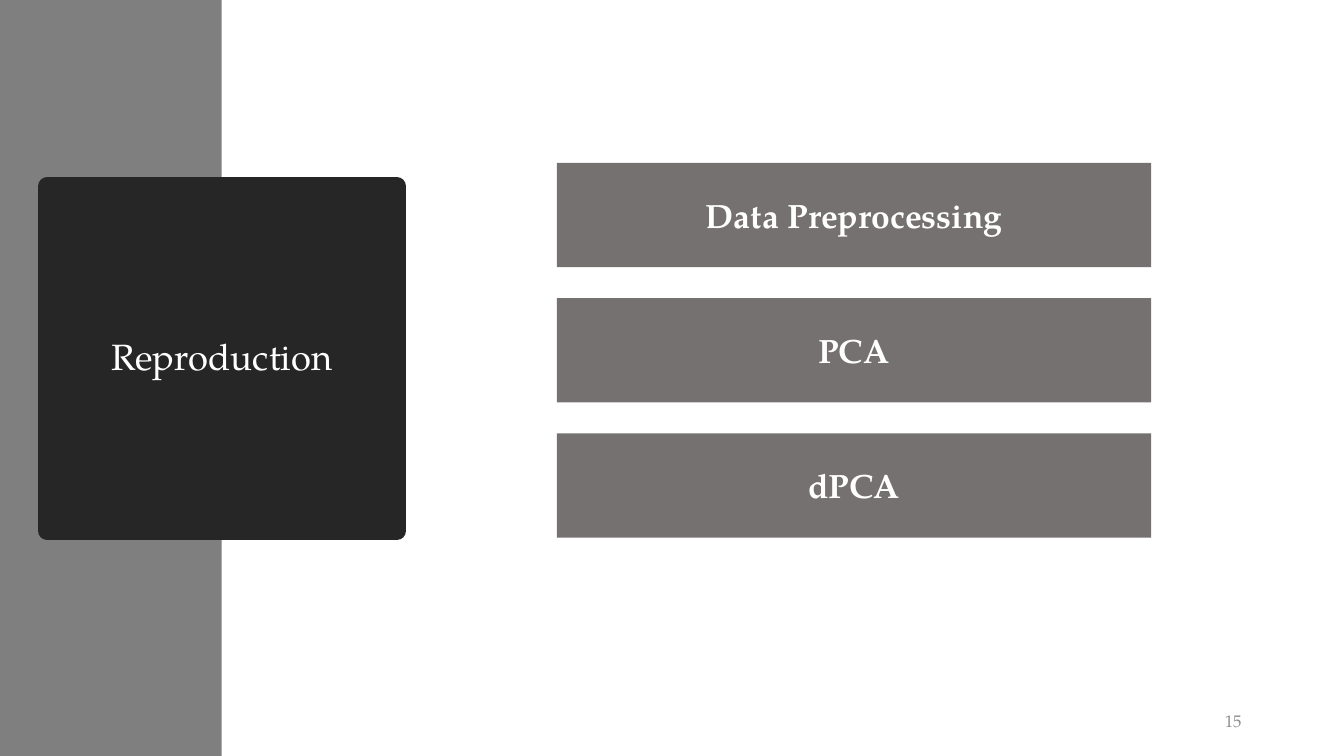
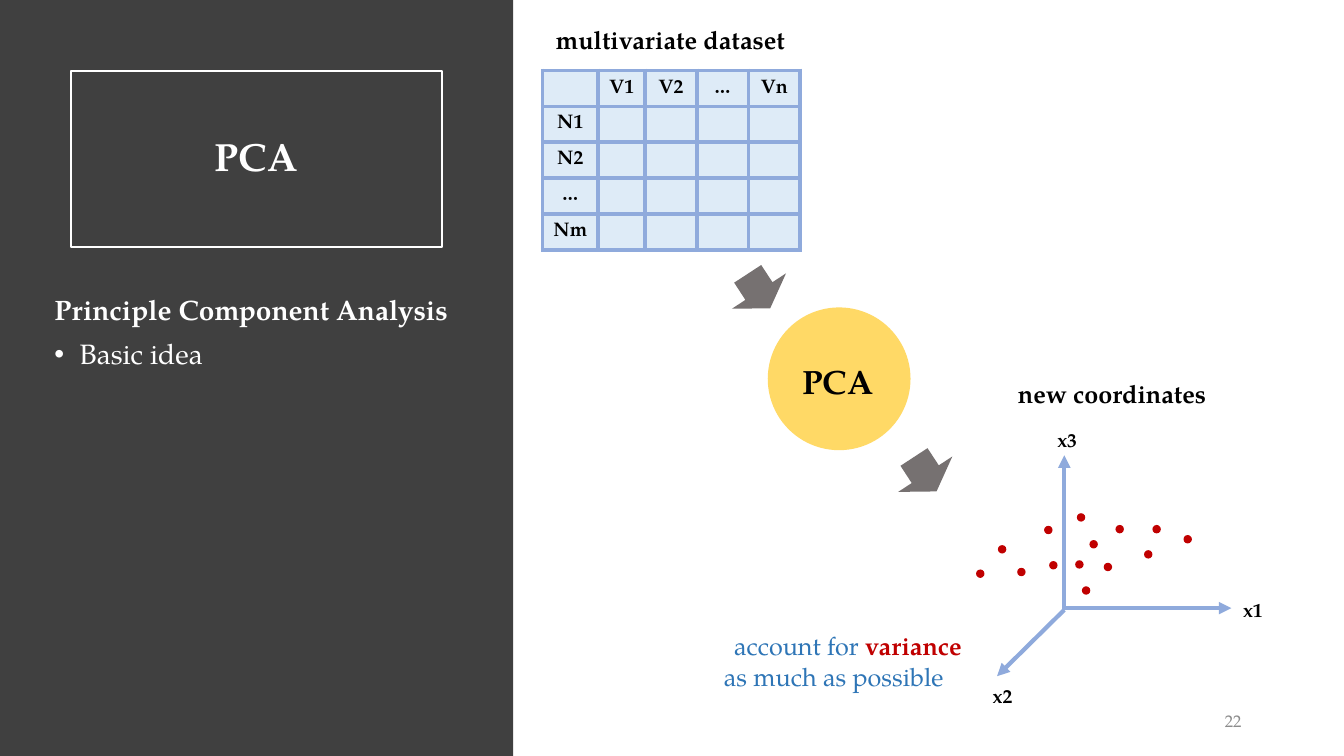
from dataclasses import dataclass, replace
from typing import NamedTuple

from lxml import etree
from pptx import Presentation
from pptx.dml.color import RGBColor
from pptx.enum.shapes import MSO_CONNECTOR, MSO_SHAPE
from pptx.enum.text import MSO_ANCHOR, MSO_AUTO_SIZE, PP_ALIGN
from pptx.oxml.ns import qn
from pptx.util import Inches, Pt

LEFT, CENTER, RIGHT = PP_ALIGN.LEFT, PP_ALIGN.CENTER, PP_ALIGN.RIGHT
TOP, MIDDLE = MSO_ANCHOR.TOP, MSO_ANCHOR.MIDDLE
RECTANGLE, OVAL, DOWN_ARROW = MSO_SHAPE.RECTANGLE, MSO_SHAPE.OVAL, MSO_SHAPE.DOWN_ARROW
STRAIGHT = MSO_CONNECTOR.STRAIGHT
NO_FIT, GROW = MSO_AUTO_SIZE.NONE, MSO_AUTO_SIZE.SHAPE_TO_FIT_TEXT

WIDTH, HEIGHT = Inches(13.33), Inches(7.5)
COLUMNS, ROWS = 160, 90
TITLE_ONLY = 5
FONT = "TeX Gyre Pagella"
COLORS = {
    "white": "FFFFFF", "black": "000000", "band": "7F7F7F", "panel": "404040",
    "title": "262626", "bar": "767171", "number": "8C8C8C", "axis": "8FAADC",
    "cell": "DEEBF7", "circle": "FFD966", "red": "C00000", "blue": "2E75B6",
}


class Box(NamedTuple):
    column: float
    row: float
    columns: float
    rows: float


class Point(NamedTuple):
    column: float
    row: float


@dataclass(frozen=True)
class Style:
    size: float
    color: str
    bold: bool = True
    align: PP_ALIGN = LEFT
    spacing: float = 1.0


class Label(NamedTuple):
    text: str
    box: Box
    style: Style


BAR_STYLE = Style(24, "white", align=CENTER)
NUMBER_STYLE = Style(12, "number", False, RIGHT)
CAPTION = Style(18, "black")
AXIS_STYLE = Style(14, "black")
CELL_STYLE = replace(AXIS_STYLE, align=CENTER)
BODY_STYLE = Style(20, "white", spacing=0.9)
GOAL_STYLE = Style(18, "blue", False)

NUMBER_BOX = Box(113, 83.4, 36, 4.8)
BARS = ("Data Preprocessing", "PCA", "dPCA")
FIRST_BAR = Box(66.3, 19.4, 70.75, 12.4)
BAR_PITCH = 16.1
TABLE_ORIGIN = Point(64.6, 8.4)
TABLE_COLUMNS = (6.6, 5.6, 6.15, 6.15, 6.15)
TABLE_ROW = 4.27
VARIABLES = ("", "V1", "V2", "…", "Vn")
NEURONS = ("N1", "N2", "…", "Nm")
ARROWS = (Box(86.5, 32.2, 7.7, 4.9), Box(106.3, 54, 7.7, 4.9))
AXES = (
    (Point(126.7, 72.6), Point(126.7, 54.2)),
    (Point(126.7, 72.4), Point(146.6, 72.4)),
    (Point(126.7, 72.6), Point(118.7, 80.5)),
)
DOTS = (
    Point(132.8, 62.5), Point(136.2, 65.5), Point(128.2, 61.1), Point(131.4, 67),
    Point(124.9, 66.8), Point(129.7, 64.3), Point(116.2, 67.8), Point(128, 66.7),
    Point(118.8, 64.9), Point(121.1, 67.6), Point(124.3, 62.6), Point(128.8, 69.8),
    Point(140.9, 63.7), Point(137.2, 62.5),
)
LABELS = (
    Label("multivariate dataset", Box(65, 2.3, 29.9, 4.8), CAPTION),
    Label("new coordinates", Box(120, 44.5, 25.1, 4.8), CAPTION),
    Label("PCA", Box(94.3, 42.4, 10.9, 6), Style(24, "black")),
    Label("x1", Box(146.8, 70.6, 4.8, 4.1), AXIS_STYLE),
    Label("x2", Box(117, 80.8, 4.8, 4.1), AXIS_STYLE),
    Label("x3", Box(124.7, 50.3, 4.8, 4.1), AXIS_STYLE),
)


def across(columns: float) -> int:
    return round(WIDTH * columns / COLUMNS)


def down(rows: float) -> int:
    return round(HEIGHT * rows / ROWS)


def place(box: Box) -> tuple:
    return across(box.column), down(box.row), across(box.columns), down(box.rows)


def rgb(name: str) -> RGBColor:
    return RGBColor.from_string(COLORS[name])


def paint(shape, name: str) -> None:
    shape.fill.solid()
    shape.fill.fore_color.rgb = rgb(name)


def format_para(para, style: Style) -> None:
    para.alignment = style.align
    para.line_spacing = style.spacing
    para.font.name = FONT
    para.font.size = Pt(style.size)
    para.font.bold = style.bold
    para.font.color.rgb = rgb(style.color)


def write(frame, text: str, style: Style, anchor=MIDDLE) -> None:
    frame.vertical_anchor = anchor
    frame.text = text
    for para in frame.paragraphs:
        format_para(para, style)


def add_shape(page, kind, box: Box, color: str):
    shape = page.shapes.add_shape(kind, *place(box))
    shape.shadow.inherit = False
    paint(shape, color)
    shape.line.fill.background()
    return shape


def add_text(page, label: Label, wrap: bool = False, anchor=TOP):
    frame = page.shapes.add_textbox(*place(label.box)).text_frame
    frame.word_wrap = wrap
    frame.auto_size = NO_FIT if wrap else GROW
    write(frame, label.text, label.style, anchor)
    return frame


def add_page(deck, band: Box, band_color: str, title: Label, number: int):
    page = deck.slides.add_slide(deck.slide_layouts[TITLE_ONLY])
    heading = page.shapes.title
    heading.left, heading.top, heading.width, heading.height = place(title.box)
    heading.text_frame.auto_size = NO_FIT
    write(heading.text_frame, title.text, title.style)
    heading.element.addprevious(add_shape(page, RECTANGLE, band, band_color).element)
    add_text(page, Label(str(number), NUMBER_BOX, NUMBER_STYLE), True, MIDDLE)
    return page


def outline(shape, color: str, points: float):
    shape.line.color.rgb = rgb(color)
    shape.line.width = Pt(points)
    return shape.line._get_or_add_ln()


def add_axis(page, start: Point, end: Point) -> None:
    axis = page.shapes.add_connector(
        STRAIGHT, across(start.column), down(start.row), across(end.column), down(end.row))
    line = outline(axis, "axis", 3)
    etree.SubElement(line, qn("a:tailEnd"), type="triangle")
    etree.SubElement(axis.element.spPr, qn("a:effectLst"))


def add_borders(cell) -> None:
    properties = cell._tc.get_or_add_tcPr()
    for side in ("lnL", "lnR", "lnT", "lnB"):
        line = etree.SubElement(properties, qn(f"a:{side}"), w=str(Pt(3)))
        fill = etree.SubElement(line, qn("a:solidFill"))
        etree.SubElement(fill, qn("a:srgbClr"), val=COLORS["axis"])


def add_dataset(page) -> None:
    grid = [VARIABLES] + [(name,) + ("",) * (len(VARIABLES) - 1) for name in NEURONS]
    box = Box(*TABLE_ORIGIN, sum(TABLE_COLUMNS), TABLE_ROW * len(grid))
    table = page.shapes.add_table(len(grid), len(VARIABLES), *place(box)).table
    for column, width in zip(table.columns, TABLE_COLUMNS):
        column.width = across(width)
    for row, texts in zip(table.rows, grid):
        row.height = down(TABLE_ROW)
        for cell, text in zip(row.cells, texts):
            cell.margin_left = cell.margin_right = cell.margin_top = cell.margin_bottom = 0
            add_borders(cell)
            paint(cell, "cell")
            cell.vertical_anchor = MIDDLE
            cell.text = text
            format_para(cell.text_frame.paragraphs[0], CELL_STYLE)


def add_body(page) -> None:
    heading = Label("Principle Component Analysis", Box(5.3, 34.7, 52.7, 31.3), BODY_STYLE)
    para = add_text(page, heading, True).add_paragraph()
    para.text = "Basic idea"
    properties = para._p.get_or_add_pPr()
    properties.set("marL", str(Inches(0.25)))
    properties.set("indent", str(-Inches(0.25)))
    etree.SubElement(properties, qn("a:buFont"), typeface="Arial")
    etree.SubElement(properties, qn("a:buChar"), char="•")
    format_para(para, replace(BODY_STYLE, bold=False))
    para.space_before = Pt(10)


def add_goal(page) -> None:
    goal = Label("account for \nas much as possible", Box(85, 74.5, 31.9, 8.5), GOAL_STYLE)
    first = add_text(page, goal).paragraphs[0]
    first.alignment = CENTER
    span = first.add_run()
    span.text = "variance"
    span.font.bold = True
    span.font.color.rgb = rgb("red")


def build_reproduction(deck) -> None:
    title = Label("Reproduction", Box(5.64, 22.2, 41.6, 41),
                  Style(26, "white", False, CENTER, 0.9))
    page = add_page(deck, Box(0, 0, 26.4, ROWS), "band", title, 15)
    paint(page.shapes.title, "title")
    etree.SubElement(outline(page.shapes.title, "title", 13.75), qn("a:round"))
    for index, text in enumerate(BARS):
        box = FIRST_BAR._replace(row=FIRST_BAR.row + index * BAR_PITCH)
        write(add_shape(page, RECTANGLE, box, "bar").text_frame, text, BAR_STYLE)


def build_pca(deck) -> None:
    title = Label("PCA", Box(8.4, 8.4, 44.2, 21), Style(28, "white", True, CENTER, 0.9))
    page = add_page(deck, Box(0, 0, 61.1, ROWS), "panel", title, 22)
    outline(page.shapes.title, "white", 1.5)
    add_body(page)
    add_dataset(page)
    for box in ARROWS:
        add_shape(page, DOWN_ARROW, box, "bar").rotation = 326.8
    add_shape(page, OVAL, Box(91.4, 36.6, 17, 17), "circle")
    for start, end in AXES:
        add_axis(page, start, end)
    for dot in DOTS:
        add_shape(page, OVAL, Box(*dot, 1, 1), "red")
    for label in LABELS:
        add_text(page, label)
    add_goal(page)


def main() -> None:
    deck = Presentation()
    deck.slide_width, deck.slide_height = WIDTH, HEIGHT
    build_reproduction(deck)
    build_pca(deck)
    deck.save("out.pptx")


if __name__ == "__main__":
    main()
